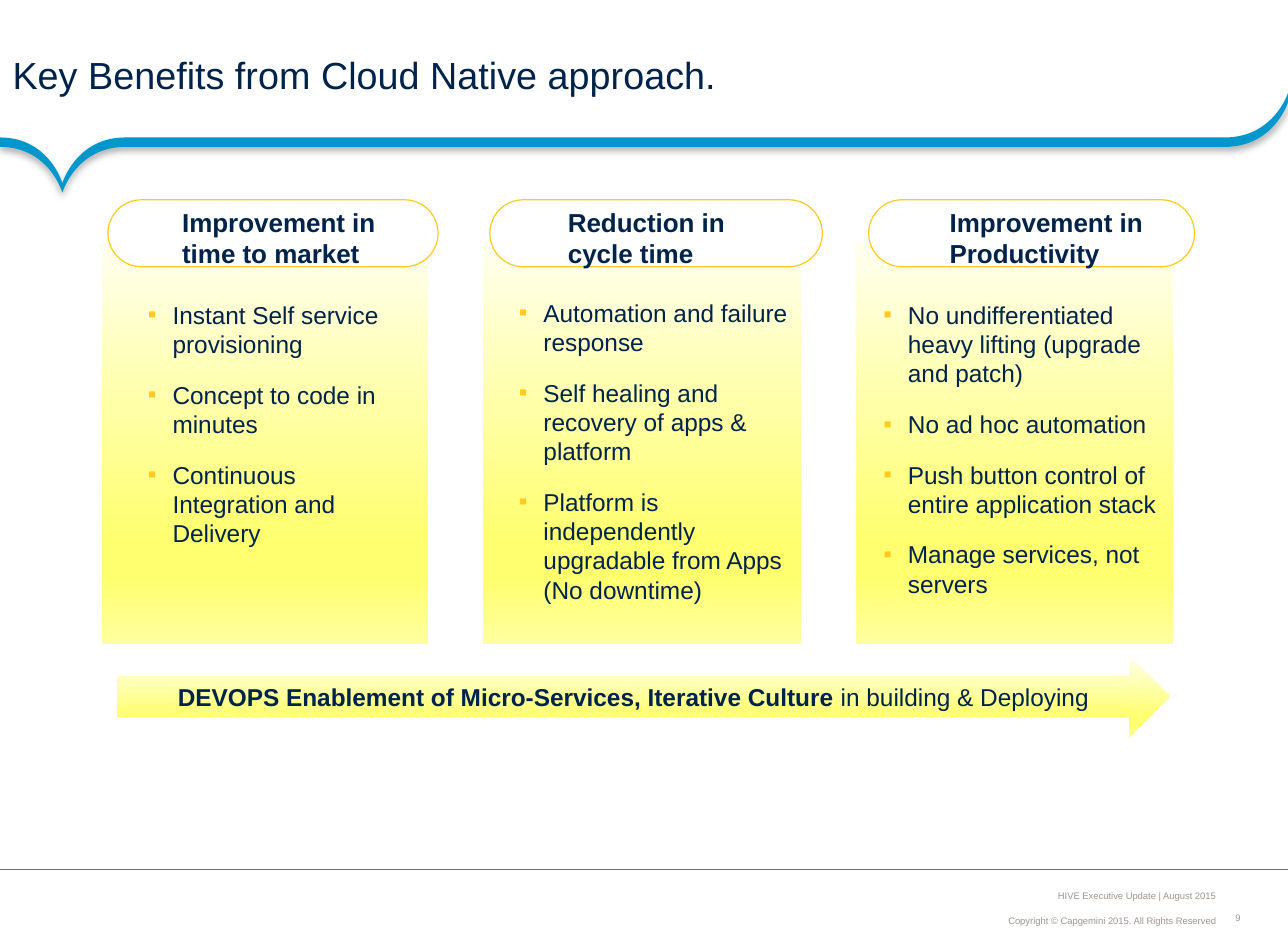
import copy
import lxml.etree
import pptx
import pptx.util
import pptx.dml.color
import pptx.enum.shapes
import pptx.enum.text
import pptx.oxml.ns

Pt = pptx.util.Pt
RGBColor = pptx.dml.color.RGBColor
Kind = pptx.enum.shapes.MSO_SHAPE
Anchor = pptx.enum.text.MSO_ANCHOR
Align = pptx.enum.text.PP_ALIGN
qn = pptx.oxml.ns.qn

NAVY = RGBColor(0x00, 0x23, 0x4B)
BLUE = RGBColor(0x00, 0x98, 0xCC)
GOLD = RGBColor(0xFE, 0xCA, 0x20)
GREY = RGBColor(0x9F, 0x95, 0x8F)
RULE = RGBColor(0x73, 0x73, 0x73)
WHITE = RGBColor(0xFF, 0xFF, 0xFF)
PALE = RGBColor(0xFF, 0xFF, 0xEF)
BRIGHT = RGBColor(0xFF, 0xFF, 0x6F)
SOFT = RGBColor(0xFF, 0xFF, 0x9F)
STOPS = [(0, PALE), (0.74, BRIGHT), (0.83, BRIGHT), (1, SOFT)]


def add(parent, tag, **attrs):
    return lxml.etree.SubElement(parent, qn(tag), attrs)


def write(frame, *lines, size=15, color=NAVY, bold=False, tail="", align=Align.LEFT,
          anchor=Anchor.TOP, inset=(0, 0, 0, 0), wrap=True, space=None, bullet=False):
    frame.auto_size = pptx.enum.text.MSO_AUTO_SIZE.NONE
    frame.word_wrap = wrap
    frame.vertical_anchor = anchor
    (frame.margin_left, frame.margin_top,
     frame.margin_right, frame.margin_bottom) = map(Pt, inset)
    for i, line in enumerate(lines):
        para = frame.add_paragraph() if i else frame.paragraphs[0]
        para.alignment = align
        para.line_spacing = space
        para.space_before = Pt(9.8 if i else 0)
        para.space_after = Pt(3.3 if bullet else 0)
        if bullet:
            para.level = 1
            props = para._p.get_or_add_pPr()
            props.set("marL", str(Pt(33.8)))
            props.set("indent", str(Pt(-15.1)))
            add(add(props, "a:buClr"), "a:srgbClr", val=str(GOLD))
            add(props, "a:buFont", typeface="Arial")
            add(props, "a:buChar", char="▪")
        for text, heavy in ((line, bold), (tail, False)):
            if text:
                run = para.add_run()
                run.text = text
                font = run.font
                font.name, font.size, font.bold = "Arial", Pt(size), heavy
                font.color.rgb = color


class Deck:
    def __init__(self, slide):
        self.slide = slide
        self.shapes = slide.shapes
        self.holds = {hold.placeholder_format.idx: hold for hold in slide.placeholders}

    def hold(self, idx, box, *lines, **style):
        shape = self.holds.pop(idx)
        shape.left, shape.top, shape.width, shape.height = map(Pt, box)
        self.shapes.element.append(shape.element)
        write(shape.text_frame, *lines, **style)

    def text(self, box, line, **style):
        write(self.shapes.add_textbox(*map(Pt, box)).text_frame, line, **style)

    def shape(self, kind, box, edge=None):
        shape = self.shapes.add_shape(kind, *map(Pt, box))
        shape.shadow.inherit = False
        if edge:
            shape.fill.solid()
            shape.fill.fore_color.rgb = WHITE
            shape.line.color.rgb = edge
            shape.line.width = Pt(0.75)
            shape.adjustments[0] = 0.5
        else:
            shape.line.fill.background()
            self.blend(shape)
        return shape

    def blend(self, shape):
        shape.fill.gradient()
        shape.fill.gradient_angle = 270
        group = shape.element.find(".//" + qn("a:gsLst"))
        while len(group) < len(STOPS):
            group.append(copy.deepcopy(group[0]))
        for stop, (place, color) in zip(shape.fill.gradient_stops, STOPS):
            stop.position = place
            stop.color.rgb = color

    def ribbon(self, level, thick):
        dip, end = (38.4, level + 28.1), (792, level - 27.3)
        top = [(0, level), (30.2, level), dip, dip, dip, (46.8, level), (77, level),
               (77, level), (753.1, level), (753.1, level),
               (783.4, level), end, end]
        low = [(x, y + thick) for x, y in reversed(top)]
        flat = [end, end, low[0]]
        points = [(Pt(x), Pt(y)) for x, y in top + flat + low[1:]]
        form = self.shapes.build_freeform(*points[0], scale=1.0)
        form.add_line_segments(points[1:], close=True)
        shape = form.convert_to_shape()
        steps = shape.element.findall(".//" + qn("a:lnTo"))
        for i in range(0, len(points) - 1, 3):
            bend = lxml.etree.Element(qn("a:cubicBezTo"))
            steps[i].addprevious(bend)
            for step in steps[i:i + 3]:
                bend.append(step[0])
                step.getparent().remove(step)
        shape.fill.solid()
        shape.fill.fore_color.rgb = BLUE
        shape.line.fill.background()
        shape.shadow.inherit = False
        effect = shape.element.spPr.find(qn("a:effectLst"))
        shade = add(effect, "a:outerShdw", blurRad=str(Pt(4)), dist=str(Pt(2)),
                    dir="5400000", algn="t", rotWithShape="0")
        add(add(shade, "a:srgbClr", val="000000"), "a:alpha", val="31000")

    def rule(self, y):
        line = self.shapes.add_connector(
            pptx.enum.shapes.MSO_CONNECTOR.STRAIGHT, *map(Pt, (792, y, 0, y)))
        line.line.color.rgb = RULE
        line.line.width = Pt(0.75)
        add(line.element.spPr, "a:effectLst")

    def clear(self):
        for hold in self.holds.values():
            hold.element.getparent().remove(hold.element)


COLUMNS = [
    ((62.6, 200.5), (66.4, 203), (104.4, 149.8), (72.3, 184.4, 176.4, 230.4),
     "Improvement in time to market",
     ["Instant Self service provisioning", "Concept to code in minutes",
      "Continuous Integration and Delivery"]),
    ((297.1, 195.3), (301.2, 204.5), (341.6, 131.8), (300.4, 183.1, 185.8, 180.7),
     "Reduction in cycle time",
     ["Automation and failure response", "Self healing and recovery of apps & platform",
      "Platform is independently upgradable from Apps (No downtime)"]),
    ((526.3, 195.3), (534.2, 200.4), (576.3, 143.3), (524.5, 184.4, 195.1, 230.4),
     "Improvement in Productivity",
     ["No undifferentiated heavy lifting (upgrade and patch)", "No ad hoc automation",
      "Push button control of entire application stack", "Manage services, not servers"]),
]


def main():
    show = pptx.Presentation()
    show.slide_width, show.slide_height = Pt(792), Pt(576)
    deck = Deck(show.slides.add_slide(show.slide_layouts[4]))
    small = dict(size=5.8, color=GREY)
    foot = dict(small, align=Align.RIGHT, anchor=Anchor.BOTTOM, inset=(2, 2, 2, 2))
    deck.text((757.6, 560.6, 7.2, 7.2), "9", align=Align.CENTER,
              anchor=Anchor.MIDDLE, wrap=False, **small)
    deck.ribbon(84.5, 5.8)
    deck.text((537, 556.6, 212.5, 15), "Copyright © Capgemini 2015. All Rights Reserved",
              space=0.9, **foot)
    deck.text((597, 539.6, 152.5, 16.5), "HIVE Executive Update | August 2015",
              **dict(foot, wrap=False))
    deck.rule(534.5)
    for panel, *_ in COLUMNS:
        deck.shape(Kind.RECTANGLE, (panel[0], 149, panel[1], 247))
    for _, pill, *_ in COLUMNS:
        deck.shape(Kind.ROUNDED_RECTANGLE, (pill[0], 122.8, pill[1], 41.2), edge=GOLD)
    for idx, (_, _, head, box, title, items) in enumerate(COLUMNS, 1):
        deck.text((head[0], 122.9, head[1], 46.8), title, size=16, bold=True,
                  inset=(7.6, 3.8, 7.6, 3.8))
        deck.hold(idx, box, *items, bullet=True)
    deck.hold(0, (0, 2.2, 764, 69), "Key Benefits from Cloud Native approach.", size=23.25,
              anchor=Anchor.BOTTOM, inset=(7.7, 7.7, 7.7, 11.4), space=0.9)
    arrow = deck.shape(Kind.RIGHT_ARROW, (72, 403.2, 647.3, 49.7))
    write(arrow.text_frame, "DEVOPS Enablement of Micro-Services, Iterative Culture ",
          bold=True, tail="in building & Deploying", align=Align.CENTER,
          anchor=Anchor.MIDDLE, inset=(7.6, 3.8, 7.6, 3.8))
    deck.clear()
    show.save("out.pptx")


if __name__ == "__main__":
    main()
